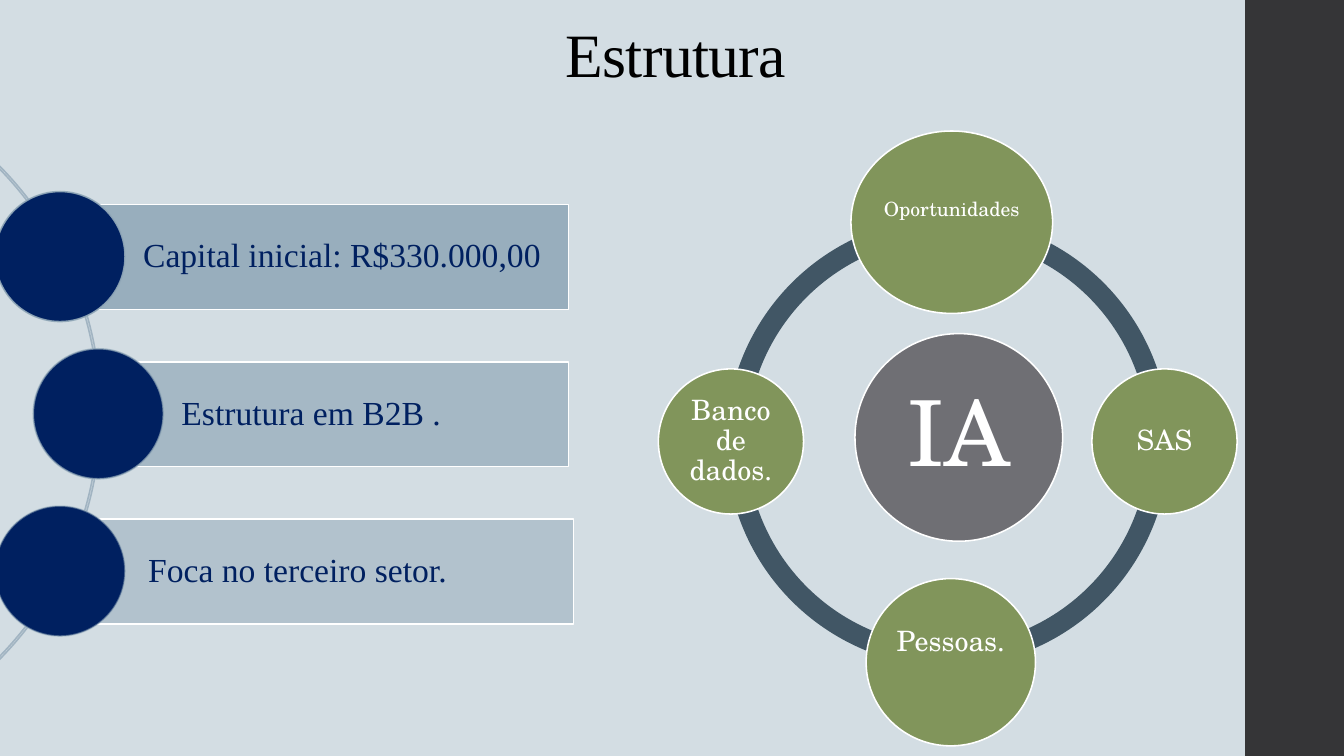
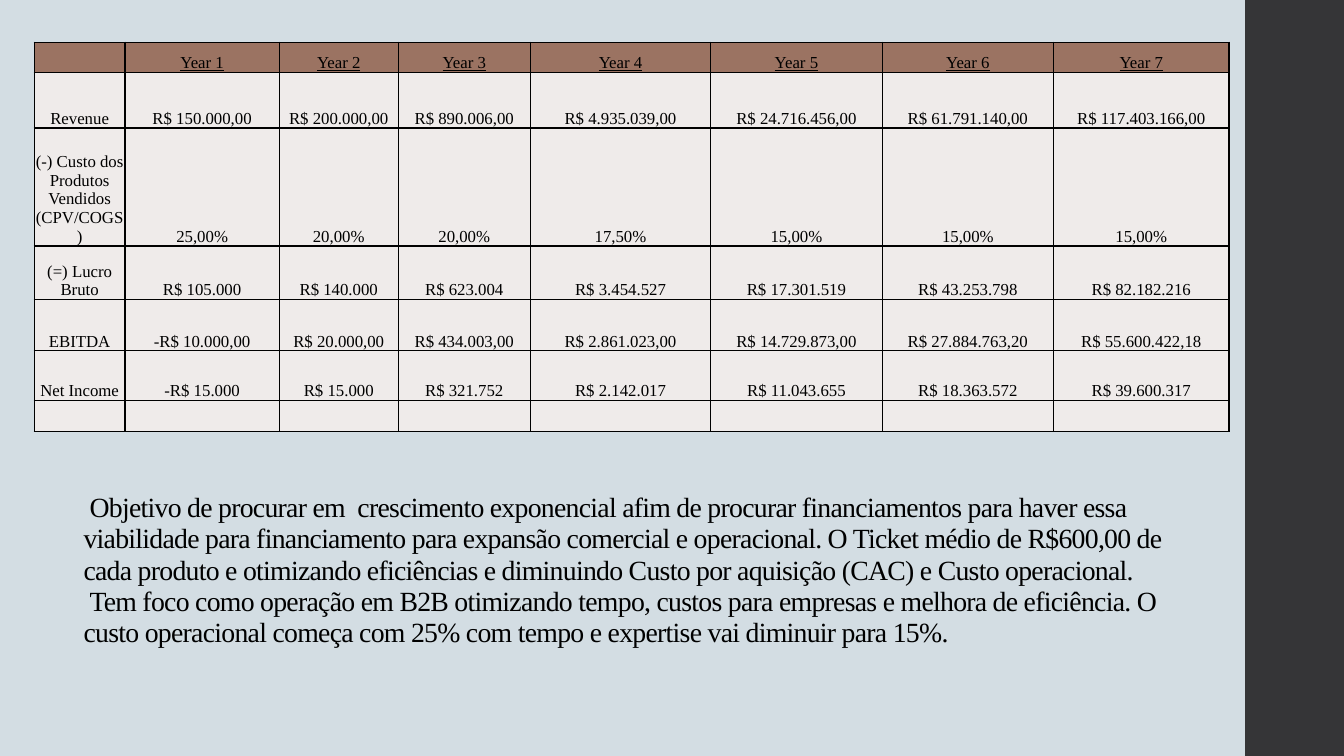
import dataclasses
import typing

import pptx
import pptx.dml.color
import pptx.enum.shapes
import pptx.enum.text
import pptx.oxml
import pptx.oxml.ns
import pptx.util

Inches = pptx.util.Inches
Pt = pptx.util.Pt
SHAPE = pptx.enum.shapes.MSO_SHAPE
ALIGN = pptx.enum.text.PP_ALIGN
ANCHOR = pptx.enum.text.MSO_ANCHOR

COLORS = {
    "background": "D3DDE3", "band": "353537", "black": "000000",
    "white": "FFFFFF", "navy": "002060", "bar": "92A9B9",
    "thin_arc": "A1B4C2", "ring": "415665", "hub": "6F6F74",
    "node": "81955B", "header": "9B7362", "cell": "EFEBEA",
}
SERIF = "Times New Roman"
SCHOLA = "TeX Gyre Schola"
LINE_WIDTH = 1.1


@dataclasses.dataclass
class Box:
    x: float
    y: float
    w: float
    h: float

    def lengths(self) -> list:
        return [Inches(v) for v in (self.x, self.y, self.w, self.h)]


@dataclasses.dataclass
class TextStyle:
    size: float
    color: str
    font: str = SERIF
    align: typing.Any = ALIGN.LEFT
    anchor: typing.Any = ANCHOR.MIDDLE
    insets: tuple = (0.1, 0.05, 0.1, 0.05)
    spacing: float = 0.9
    tracking: float = 0
    indent: float = 0
    underline: bool = False


@dataclasses.dataclass
class Item:
    text: str
    bar_x: float
    bar_w: float
    circle_x: float
    opacity: int


@dataclasses.dataclass
class Node:
    text: str
    box: Box
    size: float = 20
    color: str = "node"
    pad: float = 0.03
    lift: float = 0


@dataclasses.dataclass
class Arc:
    box: Box
    start: float
    end: float
    thickness: float


ITEMS = [
    Item("Capital inicial: R$330.000,00", 0.6, 5.04, -0.05, 90),
    Item("Estrutura em B2B .", 0.98, 4.66, 0.33, 70),
    Item("Foca no terceiro setor.", 0.65, 5.04, -0.05, 50),
]
ITEM_PITCH = 1.56

RIGHT_RING = Box(7.2, 2.15, 4.47, 4.47)
LEFT_RING = Box(7.13, 2.15, 4.47, 4.47)
RING_ARCS = [
    Arc(RIGHT_RING, 108, 162, 0.046),
    Arc(RIGHT_RING, 54, 108, 0.046),
    Arc(LEFT_RING, 215.98, 52.85, 0.046),
    Arc(LEFT_RING, 163.15, 0.02, 0.046),
]
NODES = [
    Node("IA", Box(8.48, 3.31, 2.06, 2.06), 65, "hub", 0.09),
    Node("Oportunidades", Box(8.44, 1.3, 2, 1.81), 14, pad=0.02, lift=0.24),
    Node("SAS", Box(10.83, 3.66, 1.44, 1.44)),
    Node("Pessoas.", Box(8.59, 5.74, 1.68, 1.66), lift=0.4),
    Node("Banco de dados.", Box(6.53, 3.66, 1.44, 1.44)),
]

COLUMNS = [0.9, 1.53, 1.18, 1.31, 1.79, 1.7, 1.7, 1.74]
ROWS = [0.3, 0.55, 1.17, 0.53, 0.51, 0.49, 0.31]
FINANCIALS = [
    [""] + [f"Year {n}" for n in range(1, 8)],
    ["Revenue", "R$ 150.000,00", "R$ 200.000,00", "R$ 890.006,00",
     "R$ 4.935.039,00", "R$ 24.716.456,00", "R$ 61.791.140,00",
     "R$ 117.403.166,00"],
    ["(-) Custo dos Produtos Vendidos (CPV/COGS)", "25,00%", "20,00%",
     "20,00%", "17,50%", "15,00%", "15,00%", "15,00%"],
    ["(=) Lucro Bruto", "R$ 105.000", "R$ 140.000", "R$ 623.004",
     "R$ 3.454.527", "R$ 17.301.519", "R$ 43.253.798", "R$ 82.182.216"],
    ["EBITDA", "-R$ 10.000,00", "R$ 20.000,00", "R$ 434.003,00",
     "R$ 2.861.023,00", "R$ 14.729.873,00", "R$ 27.884.763,20",
     "R$ 55.600.422,18"],
    ["Net Income", "-R$ 15.000", "R$ 15.000", "R$ 321.752",
     "R$ 2.142.017", "R$ 11.043.655", "R$ 18.363.572", "R$ 39.600.317"],
    [""] * 8,
]
GOALS = [
    "Objetivo de procurar em  crescimento exponencial afim de procurar "
    "financiamentos para haver essa viabilidade para financiamento para "
    "expansão comercial e operacional. O Ticket médio de R$600,00 de cada "
    "produto e otimizando eficiências e diminuindo Custo por aquisição (CAC) "
    "e Custo operacional.",
    "Tem foco como operação em B2B otimizando tempo, custos para empresas e "
    "melhora de eficiência. O custo operacional começa com 25% com tempo e "
    "expertise vai diminuir para 15%.",
]


def apply(obj: typing.Any, values: dict) -> None:
    for name, value in values.items():
        setattr(obj, name, value)


def paint(fill: typing.Any, color: str, opacity: int = 100) -> None:
    fill.solid()
    fill.fore_color.rgb = pptx.dml.color.RGBColor.from_string(COLORS[color])
    if opacity < 100:
        clr = fill._xPr.find(".//" + pptx.oxml.ns.qn("a:srgbClr"))
        clr.append(pptx.oxml.parse_xml(
            f'<a:alpha {pptx.oxml.ns.nsdecls("a")} val="{opacity * 1000}"/>'))


def write(tf: typing.Any, lines: list, style: TextStyle) -> None:
    left, top, right, bottom = [Inches(v) for v in style.insets]
    apply(tf, {"word_wrap": True, "vertical_anchor": style.anchor,
               "margin_left": left, "margin_top": top,
               "margin_right": right, "margin_bottom": bottom})
    for i, line in enumerate(lines):
        p = tf.add_paragraph() if i else tf.paragraphs[0]
        apply(p, {"alignment": style.align, "line_spacing": style.spacing})
        if style.indent:
            p._p.get_or_add_pPr().set("indent", str(Inches(style.indent)))
        if not line:
            continue
        r = p.add_run()
        r.text = line
        apply(r.font, {"name": style.font, "size": Pt(style.size),
                       "underline": style.underline})
        paint(r.font.fill, style.color)
        if style.tracking:
            r._r.get_or_add_rPr().set("spc", str(int(style.tracking * 100)))


def add_shape(s: typing.Any, kind: typing.Any, box: Box,
              fill: typing.Optional[str] = None,
              line: typing.Optional[str] = None,
              fill_opacity: int = 100, line_opacity: int = 100) -> typing.Any:
    sp = s.shapes.add_shape(kind, *box.lengths())
    sp.shadow.inherit = False
    if fill:
        paint(sp.fill, fill, fill_opacity)
    else:
        sp.fill.background()
    if line:
        paint(sp.line.fill, line, line_opacity)
        sp.line.width = Pt(LINE_WIDTH)
    else:
        sp.line.fill.background()
    return sp


def add_arc(s: typing.Any, arc: Arc, fill: typing.Optional[str] = None,
            line: typing.Optional[str] = None) -> None:
    sp = add_shape(s, SHAPE.BLOCK_ARC, arc.box, fill, line)
    for i, value in enumerate((arc.start, arc.end, arc.thickness)):
        sp.adjustments[i] = value


def add_title(s: typing.Any, box: Box, lines: list, size: float,
              **overrides: typing.Any) -> None:
    style = TextStyle(size, "black", anchor=ANCHOR.BOTTOM, tracking=-0.5)
    apply(style, overrides)
    write(s.shapes.add_textbox(*box.lengths()).text_frame, lines, style)


def add_item(s: typing.Any, item: Item, row: int) -> None:
    dy = row * ITEM_PITCH
    sp = add_shape(s, SHAPE.RECTANGLE,
                   Box(item.bar_x, 2.03 + dy, item.bar_w, 1.04),
                   "bar", "white", fill_opacity=item.opacity)
    write(sp.text_frame, [item.text],
          TextStyle(24, "navy", insets=(0.82, 0.07, 0.07, 0.07)))
    add_shape(s, SHAPE.OVAL, Box(item.circle_x, 1.9 + dy, 1.29, 1.29),
              "navy", "bar", line_opacity=item.opacity)


def add_node(s: typing.Any, node: Node) -> None:
    sp = add_shape(s, SHAPE.OVAL, node.box, node.color, "white")
    insets = (node.pad, node.pad, node.pad, node.pad + node.lift)
    write(sp.text_frame, [node.text],
          TextStyle(node.size, "white", SCHOLA, ALIGN.CENTER, insets=insets))


def add_borders(cell: typing.Any) -> None:
    tc_pr = cell._tc.get_or_add_tcPr()
    for i, side in enumerate(("lnL", "lnR", "lnT", "lnB")):
        tc_pr.insert(i, pptx.oxml.parse_xml(
            f'<a:{side} {pptx.oxml.ns.nsdecls("a")} w="{Pt(1)}"><a:solidFill>'
            f'<a:srgbClr val="{COLORS["black"]}"/></a:solidFill></a:{side}>'))


def add_financials(s: typing.Any) -> None:
    box = Box(0.34, 0.42, sum(COLUMNS), sum(ROWS))
    table = s.shapes.add_table(len(ROWS), len(COLUMNS), *box.lengths()).table
    apply(table, {"first_row": False, "horz_banding": False})
    for column, width in zip(table.columns, COLUMNS):
        column.width = Inches(width)
    for i, height in enumerate(ROWS):
        table.rows[i].height = Inches(height)
        for j, text in enumerate(FINANCIALS[i]):
            cell = table.cell(i, j)
            write(cell.text_frame, [text],
                  TextStyle(12, "black", align=ALIGN.CENTER,
                            insets=(0, 0, 0, 0), spacing=1.0,
                            underline=i == 0))
            apply(cell, {"vertical_anchor": ANCHOR.BOTTOM, "margin_left": 0,
                         "margin_top": 0, "margin_right": 0,
                         "margin_bottom": 0})
            paint(cell.fill, "cell" if i else "header")
            add_borders(cell)


def add_slide(prs: typing.Any) -> typing.Any:
    s = prs.slides.add_slide(prs.slide_layouts[6])
    paint(s.background.fill, "background")
    add_shape(s, SHAPE.RECTANGLE, Box(12.35, 0, 0.98, 7.5), "band")
    return s


def build_structure(prs: typing.Any) -> None:
    s = add_slide(prs)
    add_title(s, Box(5.22, -0.24, 2.72, 1.19), ["Estrutura"], 44,
              insets=(0.39, 0.05, 0, 0.05))
    add_arc(s, Arc(Box(-5.97, 0.61, 6.97, 6.97), 189, 27, 0.003),
            line="thin_arc")
    for row, item in enumerate(ITEMS):
        add_item(s, item, row)
    for arc in RING_ARCS:
        add_arc(s, arc, fill="ring")
    for node in NODES:
        add_node(s, node)


def build_financials(prs: typing.Any) -> None:
    s = add_slide(prs)
    add_title(s, Box(0.73, 4.8, 11.08, 1.96), GOALS, 19.8,
              insets=(0.1, 0.05, 0.1, 0.32), spacing=0.94, indent=0.06)
    add_financials(s)


def main() -> None:
    prs = pptx.Presentation()
    apply(prs, {"slide_width": Inches(13.33), "slide_height": Inches(7.5)})
    build_structure(prs)
    build_financials(prs)
    prs.save("out.pptx")


if __name__ == "__main__":
    main()
